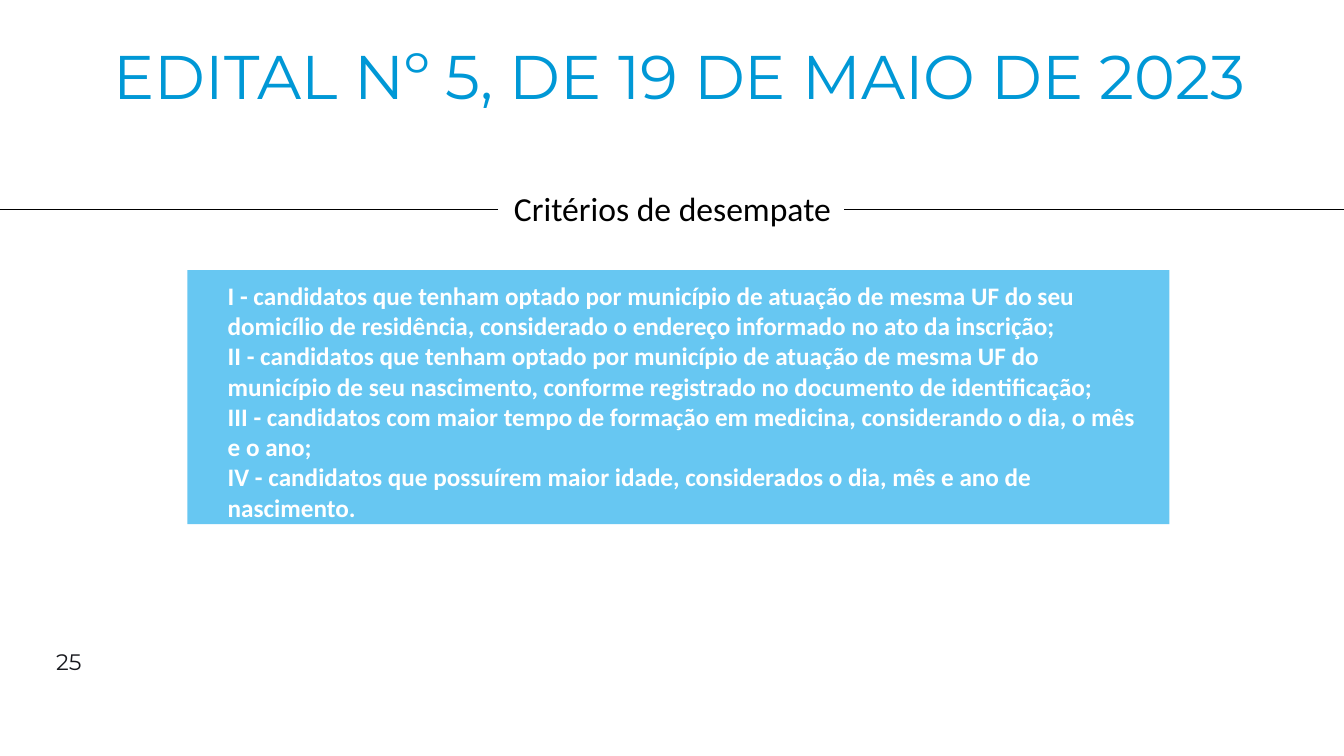
from dataclasses import dataclass

from pptx import Presentation
from pptx.dml.color import RGBColor
from pptx.enum.shapes import MSO_CONNECTOR as Connector, MSO_SHAPE as Shape
from pptx.enum.text import MSO_ANCHOR as Anchor, PP_ALIGN as Align
from pptx.oxml.ns import qn
from pptx.slide import Slide
from pptx.util import Inches, Pt

SLIDE_WIDTH = 13.33
RULE_Y = 2.08


@dataclass(frozen=True)
class TextBlock:
    left: float
    top: float
    width: float
    height: float
    paragraphs: tuple[str, ...]
    font: str
    size: float
    color: str
    align: Align = Align.LEFT
    anchor: Anchor = Anchor.TOP
    bold: bool = False
    line_spacing: float = 1.0


@dataclass(frozen=True)
class Rule:
    start: float
    end: float


TEXT_BLOCKS = (
    TextBlock(0.46, 0.41, 12.57, 1.45, ("EDITAL Nº 5, DE 19 DE MAIO DE 2023",),
              "Montserrat", 44, "0098D6", align=Align.CENTER, line_spacing=0.9),
    TextBlock(0.46, 6.36, 3, 0.4, ("25",),
              "Montserrat", 16, "18191E", anchor=Anchor.MIDDLE),
    TextBlock(1.05, 1.82, 11.24, 0.5, ("Critérios de desempate",),
              "Calibri", 24, "000000", align=Align.CENTER),
    TextBlock(2.16, 2.73, 9.31, 2.52, (
        "I - candidatos que tenham optado por município de atuação de mesma UF do seu "
        "domicílio de residência, considerado o endereço informado no ato da inscrição;",
        "II - candidatos que tenham optado por município de atuação de mesma UF do "
        "município de seu nascimento, conforme registrado no documento de identificação;",
        "III - candidatos com maior tempo de formação em medicina, considerando o dia, "
        "o mês e o ano;",
        "IV - candidatos que possuírem maior idade, considerados o dia, mês e ano de "
        "nascimento.",
    ), "Calibri", 18, "FFFFFF", bold=True),
)

HEADING_RULES = (Rule(4.94, 0), Rule(SLIDE_WIDTH, 8.37))


def rgb(color: str) -> RGBColor:
    return RGBColor.from_string(color)


def add_criteria_panel(slide: Slide) -> None:
    panel = slide.shapes.add_shape(
        Shape.RECTANGLE, Inches(1.86), Inches(2.68), Inches(9.74), Inches(2.52))
    panel.shadow.inherit = False
    panel.fill.solid()
    panel.fill.fore_color.rgb = rgb("67C7F2")
    panel.line.fill.background()


def add_text_block(slide: Slide, block: TextBlock) -> None:
    frame = slide.shapes.add_textbox(
        Inches(block.left), Inches(block.top),
        Inches(block.width), Inches(block.height)).text_frame
    frame.word_wrap = True
    frame.vertical_anchor = block.anchor
    frame.text = "\n".join(block.paragraphs)
    for paragraph in frame.paragraphs:
        paragraph.alignment = block.align
        paragraph.line_spacing = block.line_spacing
        paragraph.font.name = block.font
        paragraph.font.size = Pt(block.size)
        paragraph.font.bold = block.bold
        paragraph.font.color.rgb = rgb(block.color)


def add_rule(slide: Slide, rule: Rule) -> None:
    line = slide.shapes.add_connector(
        Connector.STRAIGHT, Inches(rule.start), Inches(RULE_Y),
        Inches(rule.end), Inches(RULE_Y))
    line.line.color.rgb = rgb("000000")
    line.line.width = Pt(0.5)
    properties = line._element.spPr
    properties.append(properties.makeelement(qn("a:effectLst"), {}))


def main() -> None:
    presentation = Presentation()
    presentation.slide_width = Inches(SLIDE_WIDTH)
    presentation.slide_height = Inches(7.5)
    slide = presentation.slides.add_slide(presentation.slide_layouts[6])
    add_criteria_panel(slide)
    for block in TEXT_BLOCKS:
        add_text_block(slide, block)
    for rule in HEADING_RULES:
        add_rule(slide, rule)
    presentation.save("out.pptx")


if __name__ == "__main__":
    main()
